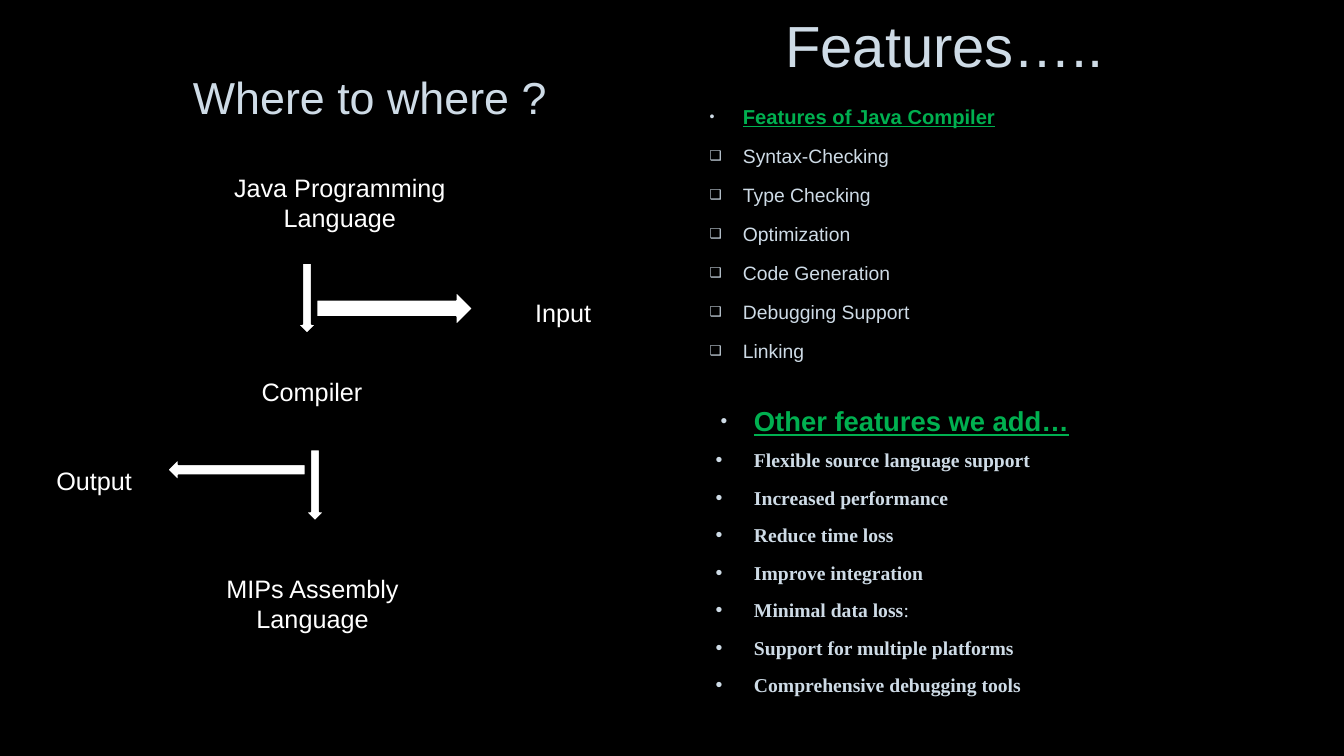
from lxml.etree import SubElement
from pptx import Presentation
from pptx.dml.color import RGBColor
from pptx.enum.shapes import MSO_SHAPE
from pptx.enum.text import MSO_ANCHOR, PP_ALIGN
from pptx.oxml.ns import qn
from pptx.util import Inches, Pt

BLACK = RGBColor(0x00, 0x00, 0x00)
WHITE = RGBColor(0xFF, 0xFF, 0xFF)
PALE = RGBColor(0xCE, 0xDB, 0xE6)
GREEN = RGBColor(0x00, 0xB0, 0x50)

COMPILER_FEATURES = ["Syntax-Checking", "Type Checking", "Optimization",
                     "Code Generation", "Debugging Support", "Linking"]
ADDED_FEATURES = ["Flexible source language support", "Increased performance",
                  "Reduce time loss", "Improve integration", "Minimal data loss:",
                  "Support for multiple platforms", "Comprehensive debugging tools"]


def place(box, left, top, width, height):
    """Turn inches measured from the corner of a region into slide lengths."""
    return [Inches(n) for n in (box[0] + left, box[1] + top, width, height)]


def style(paragraph, size, color, font="Arial", bold=False, underline=False):
    """Set the font of a whole paragraph."""
    paragraph.font.name = font
    paragraph.font.size = Pt(size)
    paragraph.font.color.rgb = color
    paragraph.font.bold = bold
    paragraph.font.underline = underline


def add_heading(slide, area, text, size, anchor):
    """Add a centred heading."""
    frame = slide.shapes.add_textbox(*area).text_frame
    frame.word_wrap = True
    frame.vertical_anchor = anchor
    heading = frame.paragraphs[0]
    heading.text = text
    heading.alignment = PP_ALIGN.CENTER
    heading.line_spacing = 0.9
    style(heading, size, PALE)


def add_bullet(paragraph, mark, share, hang):
    """Give a paragraph a pale bullet and a hanging indent."""
    props = paragraph._p.get_or_add_pPr()
    props.set("marL", str(Inches(0.38)))
    props.set("indent", str(-Inches(hang)))
    SubElement(SubElement(props, qn("a:buClr")), qn("a:srgbClr"), val=str(PALE))
    SubElement(props, qn("a:buSzPct"), val=str(share * 1000))
    SubElement(props, qn("a:buFont"), typeface="Arial")
    SubElement(props, qn("a:buChar"), char=mark)


def add_feature_list(slide, area, heading, heading_size, features, mark, share,
                     hang, spacing, before, after, **look):
    """Add a green underlined heading with its bulleted features."""
    frame = slide.shapes.add_textbox(*area).text_frame
    frame.word_wrap = True
    for index, text in enumerate([heading] + features):
        first = index == 0
        line = frame.paragraphs[0] if first else frame.add_paragraph()
        line.line_spacing = 1.1 if first else spacing
        line.space_before = Pt(3.6 if first else before)
        line.space_after = Pt(6 if first else after)
        if first:
            add_bullet(line, "•", 70, 0.33)
            style(line, heading_size, GREEN, bold=True, underline=True)
        else:
            add_bullet(line, mark, share, hang)
            style(line, color=PALE, **look)
        line.add_run().text = text.rstrip(":")
        if text.endswith(":"):
            colon = line.add_run()
            colon.text = ":"
            colon.font.bold = False


def add_block(slide, kind, area, fill, lines=()):
    """Add a black-edged shape with centred white lines of text."""
    block = slide.shapes.add_shape(kind, *area)
    block.shadow.inherit = False
    block.fill.solid()
    block.fill.fore_color.rgb = fill
    block.line.color.rgb = BLACK
    block.line.width = Pt(1.25)
    frame = block.text_frame
    frame.word_wrap = True
    frame.vertical_anchor = MSO_ANCHOR.MIDDLE
    for index, text in enumerate(lines):
        line = frame.paragraphs[0] if index == 0 else frame.add_paragraph()
        line.text = text
        line.alignment = PP_ALIGN.CENTER
        style(line, 18, WHITE)


def add_flow(slide, box):
    """Draw the path from source language to assembly language."""
    stages = [
        (MSO_SHAPE.RECTANGLE, (1.53, 1.22, 3.26, 0.98), ["Java Programming Language"]),
        (MSO_SHAPE.OVAL, (1.9, 3.08, 1.97, 1.01), ["Compiler"]),
        (MSO_SHAPE.ROUNDED_RECTANGLE, (0, 4.16, 1.45, 0.61), ["Output"]),
        (MSO_SHAPE.RECTANGLE, (1.91, 5.14, 1.96, 1.1), ["MIPs Assembly ", "Language"]),
        (MSO_SHAPE.ROUNDED_RECTANGLE, (4.48, 2.51, 1.79, 0.57), ["Input"]),
    ]
    arrows = [
        (MSO_SHAPE.DOWN_ARROW, (2.74, 2.31, 0.19, 0.7)),
        (MSO_SHAPE.DOWN_ARROW, (2.82, 4.16, 0.19, 0.71)),
        (MSO_SHAPE.RIGHT_ARROW, (2.93, 2.59, 1.55, 0.34)),
        (MSO_SHAPE.LEFT_ARROW, (1.45, 4.25, 1.37, 0.22)),
    ]
    for kind, area, lines in stages:
        add_block(slide, kind, place(box, *area), BLACK, lines)
    for kind, area in arrows:
        add_block(slide, kind, place(box, *area), WHITE)
    add_heading(slide, place(box, 0.8, 0, 5.32, 0.98), "Where to where ?", 32,
                MSO_ANCHOR.BOTTOM)


def add_features(slide, box):
    """Place the features heading above its two lists."""
    add_heading(slide, place(box, 0, 0, 4.96, 0.36), "Features…..", 41.4,
                MSO_ANCHOR.MIDDLE)
    add_feature_list(slide, place(box, 0, 0.66, 3.59, 2.91),
                     "Features of Java Compiler", 14.4, COMPILER_FEATURES,
                     "❑", 70, 0.33, 1.1, 3.6, 6, size=13.8)
    add_feature_list(slide, place(box, 0.11, 3.63, 4.4, 3.33),
                     "Other features we add…", 19.6, ADDED_FEATURES,
                     "•", 100, 0.38, 1.07, 0.8, 8,
                     size=14, font="Times New Roman", bold=True)


def main():
    """Build and save the slide."""
    deck = Presentation()
    deck.slide_width, deck.slide_height = Inches(13.33), Inches(7.5)
    slide = deck.slides.add_slide(deck.slide_layouts[6])
    slide.background.fill.solid()
    slide.background.fill.fore_color.rgb = BLACK
    add_features(slide, (6.89, 0.3))
    add_flow(slide, (0.21, 0.3))
    deck.save("out.pptx")


if __name__ == "__main__":
    main()
